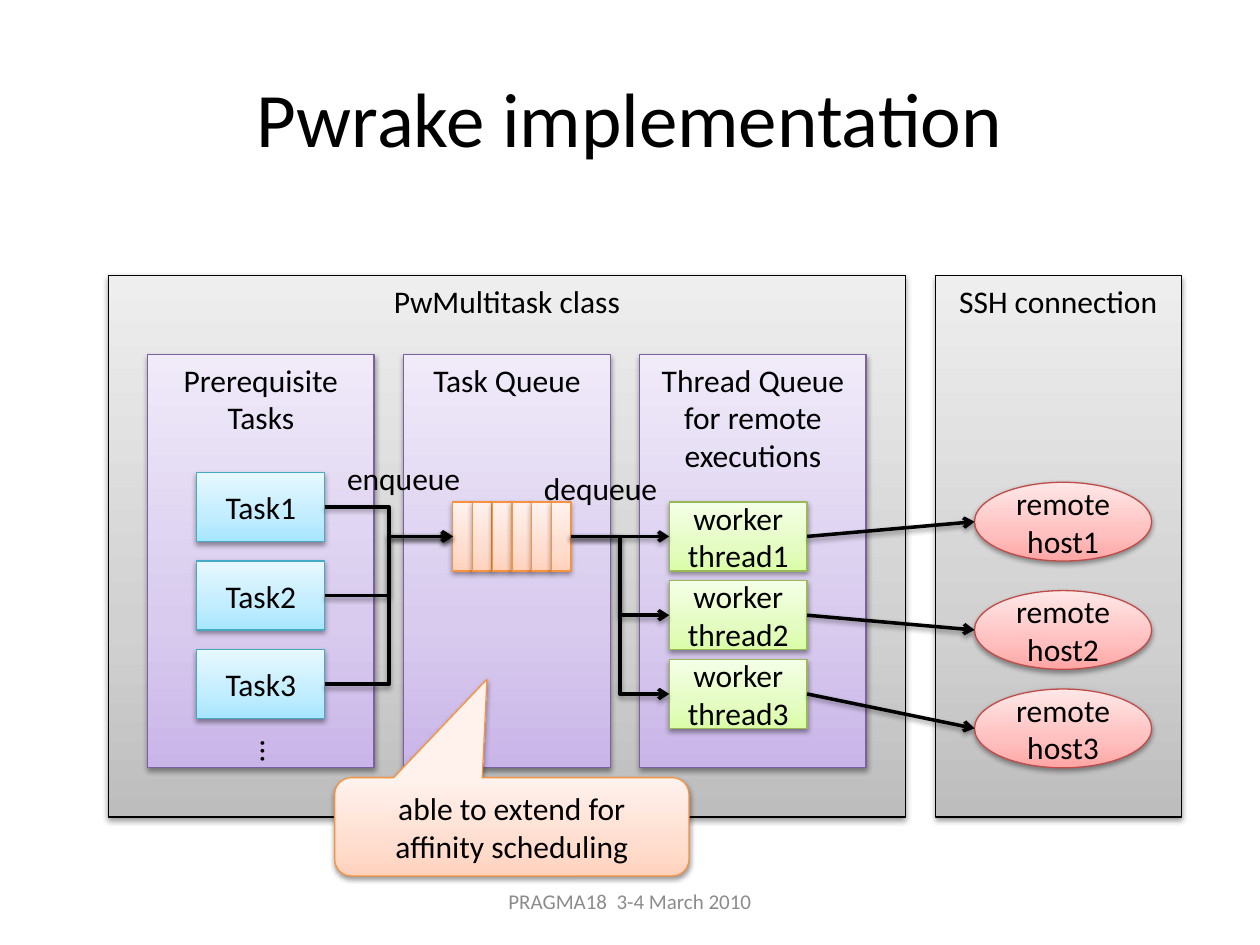
"""Build the Pwrake implementation slide."""
from copy import deepcopy
from dataclasses import dataclass

from lxml.etree import SubElement
from pptx import Presentation
from pptx.dml.color import RGBColor
from pptx.enum.shapes import MSO_CONNECTOR, MSO_SHAPE
from pptx.enum.text import MSO_ANCHOR, MSO_AUTO_SIZE, PP_ALIGN
from pptx.oxml import parse_xml
from pptx.oxml.ns import nsdecls, qn
from pptx.util import Pt


@dataclass(frozen=True)
class Theme:
    font: str = "Calibri"
    ink: str = "000000"
    faint: str = "8C8C8C"
    head: int = 44
    body: int = 18
    foot: int = 12
    gray: tuple = ("BDBDBD", "D1D1D1", "EEEEEE", "000000")
    purple: tuple = ("C9B5E8", "D8CBEE", "F0EAF9", "7D60A0")
    blue: tuple = ("A7E6FF", "C1EDFF", "E7F8FF", "46AAC5")
    peach: tuple = ("FFD2BD", "FFDED0", "FFF2ED", "F69240")
    green: tuple = ("DAFDA7", "E4FCC2", "F5FFE7", "98B955")
    red: tuple = ("FFA6A5", "FFC0BF", "FFE7E7", "BF4C48")


theme = Theme()
unit = 45 / 8
deck = Presentation()
deck.slide_width, deck.slide_height = Pt(720), Pt(540)
slide = deck.slides.add_slide(deck.slide_layouts[5])
shapes = slide.shapes


def write(shape, text, size=theme.body, color=theme.ink, align=PP_ALIGN.CENTER,
          anchor=MSO_ANCHOR.MIDDLE, wrap=True):
    frame = shape.text_frame
    frame.text = text
    frame.word_wrap = wrap
    frame.vertical_anchor = anchor
    for para in frame.paragraphs:
        para.alignment = align
        para.font.name = theme.font
        para.font.size = Pt(size)
        para.font.color.rgb = RGBColor.from_string(color)


def box(kind, tint, left, top, width, height, text="", **look):
    shape = shapes.add_shape(kind, *[Pt(n * unit) for n in (left, top, width, height)])
    shape.fill.gradient()
    shape.fill.gradient_angle = 90
    stops = shape._element.spPr.find(qn("a:gradFill")).find(qn("a:gsLst"))
    stops.insert(1, deepcopy(stops[0]))
    for stop, spot, color in zip(shape.fill.gradient_stops, (0, 0.35, 1), tint):
        stop.position = spot
        stop.color.rgb = RGBColor.from_string(color)
    shape.line.color.rgb = RGBColor.from_string(tint[3])
    shape.line.width = Pt(0.75)
    if text:
        write(shape, text, **look)
    drawn.append(shape)
    return shape


drawn = []
title = shapes.title
title.left, title.top, title.width, title.height = Pt(36), Pt(21.6), Pt(648), Pt(90)
write(title, "Pwrake implementation", size=theme.head)

panels = [
    (theme.gray, 11, 28, 81, 55, "PwMultitask class"),
    (theme.gray, 95, 28, 25, 55, "SSH connection"),
    (theme.purple, 15, 36, 23, 42, "Prerequisite\nTasks"),
    (theme.purple, 41, 36, 21, 42, "Task Queue"),
    (theme.purple, 65, 36, 23, 42, "Thread Queue for remote executions"),
]
for panel in panels:
    box(MSO_SHAPE.RECTANGLE, *panel, anchor=MSO_ANCHOR.TOP)

rect = MSO_SHAPE.RECTANGLE
tasks = [box(rect, theme.blue, 20, 48 + 9 * i, 13, 7, f"Task{i + 1}") for i in range(3)]
cells = [box(rect, theme.peach, 46 + 2 * i, 51, 2, 7) for i in range(6)]
workers = [box(rect, theme.green, 68, 51 + 8 * i, 14, 7, f"worker thread{i + 1}")
           for i in range(3)]
hosts = [box(MSO_SHAPE.OVAL, theme.red, 99, top, 18, 8, f"remote host{i}")
         for i, top in enumerate((49, 60, 70), 1)]

links = [(MSO_CONNECTOR.ELBOW, task, cells[0]) for task in tasks]
links += [(MSO_CONNECTOR.ELBOW, cells[-1], worker) for worker in workers]
links += [(MSO_CONNECTOR.STRAIGHT, *pair) for pair in zip(workers, hosts)]
for kind, start, end in links:
    link = shapes.add_connector(kind, start.left + start.width, start.top + start.height // 2,
                                end.left, end.top + end.height // 2)
    link.begin_connect(start, 3)
    if end not in hosts:
        link.end_connect(end, 1)
    link.line.color.rgb = RGBColor.from_string(theme.ink)
    link.line.width = Pt(2)
    SubElement(link._element.spPr.find(qn("a:ln")), qn("a:tailEnd"), type="arrow")
    drawn.append(link)

note = box(MSO_SHAPE.ROUNDED_RECTANGULAR_CALLOUT, theme.peach, 34, 79, 36, 10,
           "able to extend for\naffinity scheduling")
for i, value in enumerate((-0.07, -1.5, 0.17)):
    note.adjustments[i] = value

for shape in drawn:
    shape._element.spPr.append(parse_xml(
        f'<a:effectLst {nsdecls("a")}><a:outerShdw blurRad="{Pt(3.1)}" dist="{Pt(1.6)}" '
        'dir="5400000" rotWithShape="0"><a:srgbClr val="000000"><a:alpha val="38000"/>'
        '</a:srgbClr></a:outerShdw></a:effectLst>'))

labels = [
    ("enqueue", 191.25, 258.75, 80, 29),
    ("dequeue", 303.75, 264.38, 80, 29),
    ("…", 134.6, 416.2, 36, 19.4),
]
for text, *place in labels:
    label = shapes.add_textbox(*map(Pt, place))
    write(label, text, align=PP_ALIGN.LEFT, anchor=MSO_ANCHOR.TOP, wrap=False)
    label.text_frame.auto_size = MSO_AUTO_SIZE.SHAPE_TO_FIT_TEXT
label.text_frame._txBody.bodyPr.set("vert", "eaVert")

footer = shapes.add_textbox(Pt(246), Pt(500.5), Pt(228), Pt(28.75))
write(footer, "PRAGMA18  3-4 March 2010", size=theme.foot, color=theme.faint)

deck.save("out.pptx")
